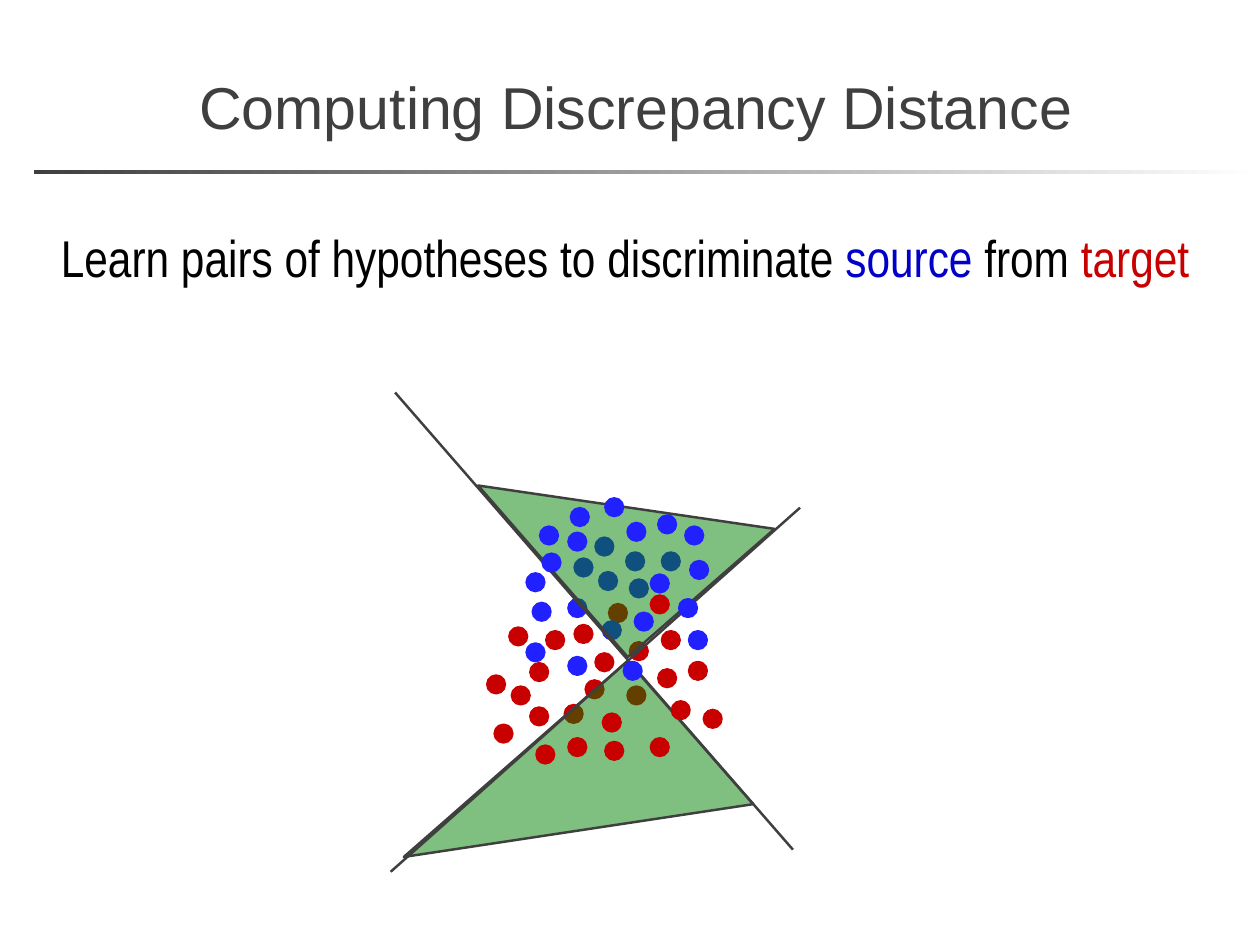
import pptx
import pptx.dml.color
import pptx.enum.shapes
import pptx.enum.text
import pptx.oxml.ns
import pptx.util
from lxml import etree

Pt = pptx.util.Pt
SHAPE = pptx.enum.shapes.MSO_SHAPE
ALIGN = pptx.enum.text.PP_ALIGN
ANCHOR = pptx.enum.text.MSO_ANCHOR
qn = pptx.oxml.ns.qn

GREY, GREEN = "3F3F3F", "008000"
SOURCE_BLUE, TARGET_RED = "2121FF", "C80000"
DOT_SIZE = 14.4


def rgb(hex_colour):
    return pptx.dml.color.RGBColor.from_string(hex_colour)


def add_text(runs, *, box, font, size, align=ALIGN.LEFT, anchor=ANCHOR.TOP, inset=(7.2, 3.6)):
    """Add one paragraph made of (text, colour) runs."""
    frame = slide.shapes.add_textbox(*map(Pt, box)).text_frame
    frame.word_wrap = True
    frame.vertical_anchor = anchor
    frame.margin_left = frame.margin_right = Pt(inset[0])
    frame.margin_top = frame.margin_bottom = Pt(inset[1])
    paragraph = frame.paragraphs[0]
    paragraph.alignment = align
    for text, colour in runs:
        run = paragraph.add_run()
        run.text = text
        run.font.name = font
        run.font.size = Pt(size)
        run.font.color.rgb = rgb(colour)


presentation = pptx.Presentation()
presentation.slide_width, presentation.slide_height = Pt(1024), Pt(768)
slide = presentation.slides.add_slide(presentation.slide_layouts[6])

# Title and the fading rule below it
title_rule = slide.shapes.add_shape(SHAPE.RECTANGLE, Pt(27.4), Pt(137.8), Pt(996.6), Pt(3.6))
title_rule.shadow.inherit = False
title_rule.line.fill.background()
title_rule.fill.gradient()
title_rule.fill.gradient_angle = 0
for stop, colour in zip(title_rule.fill.gradient_stops, (GREY, "FFFFFF")):
    stop.color.rgb = rgb(colour)

add_text([("Computing Discrepancy Distance", GREY)], box=(152, 35.3, 804, 102.2),
         font="Arial", size=48, anchor=ANCHOR.MIDDLE, inset=(10, 5))

# Sample points, as left and top; the first two groups lie under the green regions
covered_target = [(484, 531), (510, 558), (476, 553), (459, 573), (512, 522),
                  (444, 513), (431, 539), (495, 491), (467, 508)]
covered_source = [(462, 534), (484, 437), (509, 449), (467, 454), (538, 449),
                  (487, 465), (512, 471), (462, 487), (490, 505)]
open_target = [(546, 570), (529, 600), (492, 603), (436, 606), (431, 575), (490, 580),
               (535, 544), (572, 577), (560, 538), (538, 513), (529, 484), (462, 600),
               (396, 549), (402, 589), (414, 510), (416, 558)]
open_source = [(428, 466), (439, 428), (433, 490), (441, 450), (428, 523), (507, 538),
               (516, 498), (552, 487), (529, 467), (535, 419), (510, 425), (464, 413),
               (492, 405), (462, 433), (557, 428), (561, 456), (560, 513)]
regions = [((349.2, 597.6, 241.9, 154.8), 138.8), ((429.8, 319.7, 158.4, 185), 318.9)]
hypotheses = [(317.5, 708.5, 650.2, 412.6), (644.4, 690.5, 321.1, 319)]

# Each layer: its two point groups, then the regions and hypotheses drawn over them
layers = [(covered_target, covered_source, regions, hypotheses),
          (open_target, open_source, [], [])]
for target_points, source_points, layer_regions, layer_hypotheses in layers:
    for points, colour in ((target_points, TARGET_RED), (source_points, SOURCE_BLUE)):
        for left, top in points:
            dot = slide.shapes.add_shape(SHAPE.OVAL, Pt(left), Pt(top), Pt(DOT_SIZE), Pt(DOT_SIZE))
            dot.shadow.inherit = False
            dot.fill.solid()
            dot.fill.fore_color.rgb = rgb(colour)
            dot.line.color.rgb = rgb(colour)
            dot.line.width = Pt(2)

    for box, rotation in layer_regions:
        region = slide.shapes.add_shape(SHAPE.RIGHT_TRIANGLE, *map(Pt, box))
        region.rotation = rotation
        region.shadow.inherit = False
        region.fill.solid()
        region.fill.fore_color.rgb = rgb(GREEN)
        fill_colour = region.fill._xPr.find(qn("a:solidFill"))[0]
        etree.SubElement(fill_colour, qn("a:alpha"), val="50000")
        region.line.color.rgb = rgb(GREY)
        region.line.width = Pt(2)

    for ends in layer_hypotheses:
        hypothesis = slide.shapes.add_connector(
            pptx.enum.shapes.MSO_CONNECTOR.STRAIGHT, *map(Pt, ends))
        hypothesis.line.color.rgb = rgb(GREY)
        hypothesis.line.width = Pt(2)
        etree.SubElement(hypothesis._element.spPr, qn("a:effectLst"))

add_text([("Learn pairs of hypotheses to discriminate ", "000000"), ("source", "0000C8"),
          (" from ", "000000"), ("target", TARGET_RED)],
         box=(33, 180, 950, 58), font="Arial Narrow", size=42, align=ALIGN.CENTER)

presentation.save("out.pptx")
